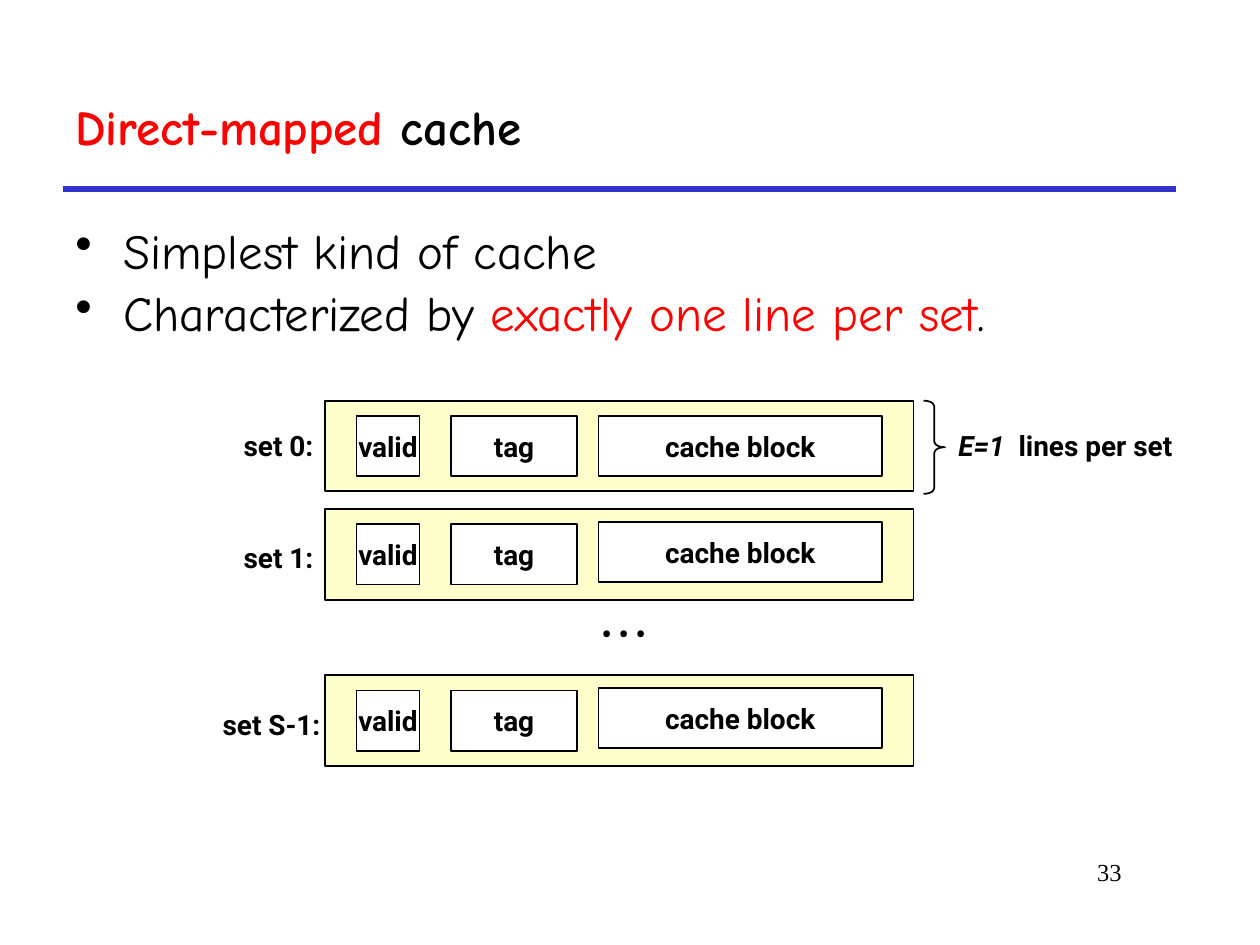
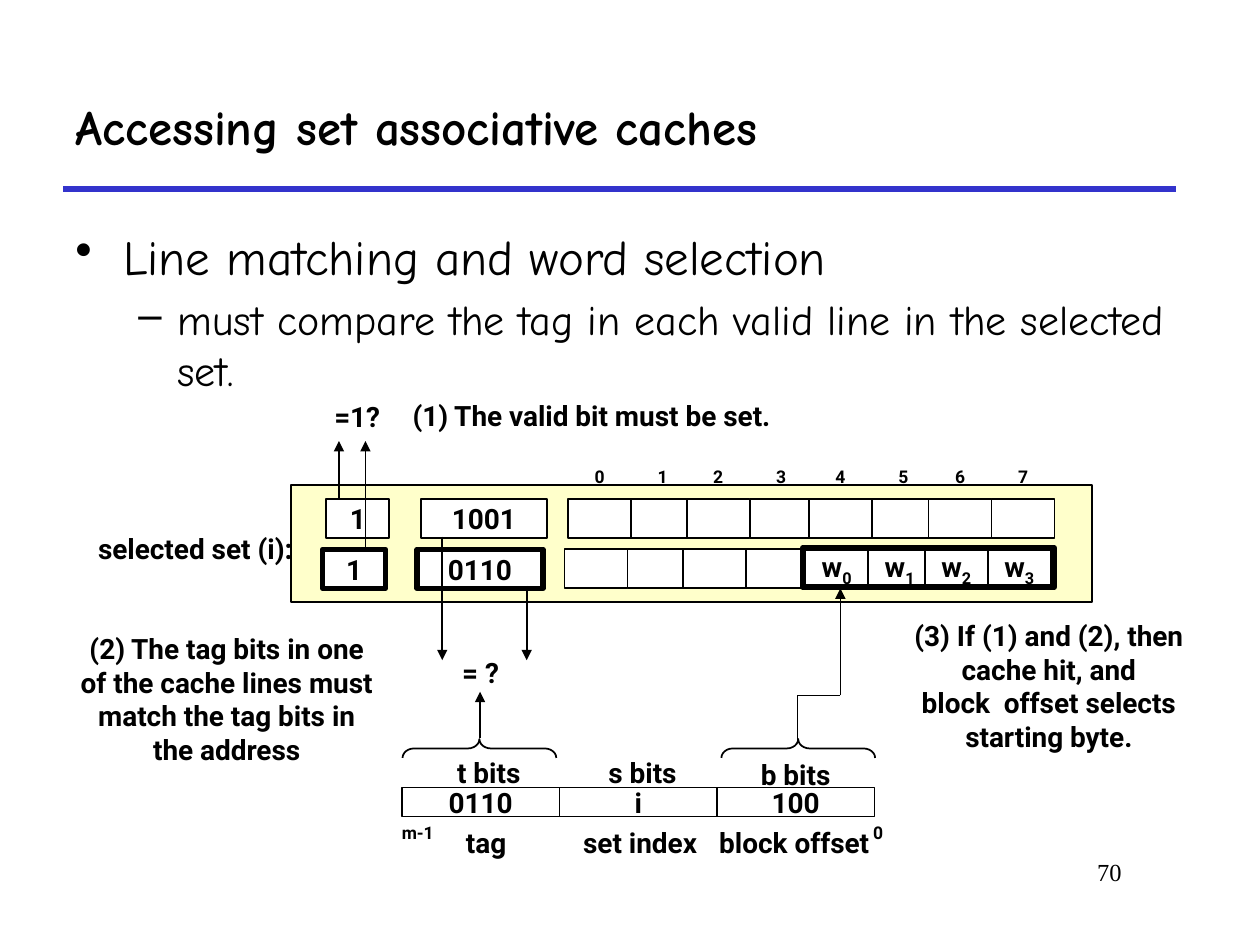
import pptx
import pptx.util
import pptx.dml.color
import pptx.enum.shapes
import pptx.enum.text
import pptx.oxml
import pptx.oxml.ns

Inches, Pt = pptx.util.Inches, pptx.util.Pt
SHAPE = pptx.enum.shapes.MSO_SHAPE
ALIGN = pptx.enum.text.PP_ALIGN
ANCHOR = pptx.enum.text.MSO_ANCHOR

# Shared look
BLACK, WHITE, RED = "000000", "FFFFFF", "FF0000"
RULE_BLUE, SET_YELLOW = "3333CC", "FFFF99"
HEAD_FONT, LABEL_FONT, NUMBER_FONT = "Comic Neue", "Roboto", "Times New Roman"
INDENTS = {"•": (0.38, -0.38), "–": (0.81, -0.31)}

# Slide 1: a text is a list of paragraphs, a paragraph a list of (text, options)
DIRECT_TITLE = [("Direct-mapped", {"color": RED}), (" cache", {})]
DIRECT_BULLETS = [
    ("•", 28, [("Simplest kind of cache", {})]),
    ("•", 28, [("Characterized by ", {}),
               ("exactly one line per set", {"color": RED}), (".", {})]),
]
# label, label left and width, band top, label drop, cache block drop
CACHE_SETS = [
    ("set 0:", 1.82, 0.78, 3.18, 0.17, 0.12),
    ("set 1:", 1.82, 0.78, 4.04, 0.20, 0.10),
    ("set S-1:", 1.65, 1.01, 5.36, 0.20, 0.10),
]
LINES_PER_SET = [("E=1", {"italic": True}), ("  lines per set", {})]

# Slide 2
ACCESS_TITLE = [("Accessing set associative caches", {})]
ACCESS_BULLETS = [
    ("•", 28, [("Line matching and word selection", {})]),
    ("–", 24, [("must compare the tag in each valid line in the selected set.", {})]),
]
# row left shift, top, outline of valid and tag, tag bits, words
CACHE_LINES = [
    (-0.03, 4.36, 3, "0110", ["", "", "", "", "0", "1", "2", "3"]),
    (0, 3.96, 1, "1001", [""] * 8),
]
WORD_LEFTS = (4.51, 5.01, 5.45, 5.95, 6.42, 6.92, 7.37, 7.87)
ADDRESS_FIELDS = ["0110", "i", "100"]
# text, left, top, width
FIELD_LABELS = [
    ("t bits", 3.53, 5.95, 0.73), ("s bits", 4.73, 5.95, 0.78),
    ("b bits", 5.94, 5.96, 0.79), ("tag", 3.60, 6.5, 0.53),
    ("set index", 4.53, 6.5, 1.16), ("block offset", 5.61, 6.5, 1.45),
]
CHECK_LABELS = [
    ("selected set (i):", 0.64, 4.17, 1.82), ("=1?", 2.54, 3.12, 0.59),
    ("= ?", 3.55, 5.15, 0.53), ("(1) The valid bit must be set.", 3.1, 3.11, 3.19),
]
# left, top, width, lines
STEP_NOTES = [
    (6.74, 4.86, 3.17, ["(3) If (1) and (2), then", "cache hit, and",
                        "block  offset selects", "starting byte."]),
    (0, 4.96, 3.6, ["(2) The tag bits in one", "of the cache lines must",
                    "match the tag bits in", "the address"]),
]
# start, end
ARROWS = [
    ((2.69, 3.95), (2.69, 3.5)), ((2.9, 4.35), (2.9, 3.5)),
    ((4.18, 4.65), (4.18, 5.24)), ((3.51, 4.26), (3.51, 5.24)),
    ((3.81, 5.86), (3.81, 5.49)), ((6.67, 5.52), (6.67, 4.67)),
]
OFFSET_PATH = [((6.33, 5.52), (6.67, 5.52)), ((6.33, 5.52), (6.33, 5.89))]


def rgb(color):
    return pptx.dml.color.RGBColor.from_string(color)


def add_child(parent, tag, **attributes):
    child = pptx.oxml.parse_xml(f"<a:{tag} {pptx.oxml.ns.nsdecls('a')}/>")
    for name, value in attributes.items():
        child.set(name, str(value))
    parent.append(child)
    return child


def style(para, spans, size, font, bold):
    para.font.size, para.font.name, para.font.bold = Pt(size), font, bold
    para.font.color.rgb = rgb(BLACK)
    for text, options in spans:
        span = para.add_run()
        span.text = text
        span.font.color.rgb = rgb(options.get("color", BLACK))
        if "italic" in options:
            span.font.italic = options["italic"]
        if "baseline" in options:
            span.font._element.set("baseline", str(options["baseline"]))


def write(box, paragraphs, size=16, font=LABEL_FONT, bold=True,
          align=ALIGN.CENTER, anchor=ANCHOR.MIDDLE, wrap=False):
    frame = box.text_frame
    frame.word_wrap, frame.vertical_anchor = wrap, anchor
    for index, spans in enumerate(paragraphs):
        para = frame.add_paragraph() if index else frame.paragraphs[0]
        para.alignment = align
        style(para, [(spans, {})] if isinstance(spans, str) else spans, size, font, bold)


def add_text(page, place, paragraphs, **look):
    box = page.shapes.add_textbox(*map(Inches, place))
    write(box, paragraphs, **look)


def add_box(page, place, spans="", fill=WHITE, width=1, preset=SHAPE.RECTANGLE):
    box = page.shapes.add_shape(preset, *map(Inches, place))
    box.shadow.inherit = False
    box.line.color.rgb, box.line.width = rgb(BLACK), Pt(width)
    if fill:
        box.fill.solid()
        box.fill.fore_color.rgb = rgb(fill)
    else:
        box.fill.background()
    if spans:
        write(box, [spans])
    return box


def add_set_band(page, place):
    band = add_box(page, place, fill=SET_YELLOW)
    color = band._element.spPr.find(".//" + pptx.oxml.ns.qn("a:srgbClr"))
    add_child(color, "alpha", val=50000)


def add_brace(page, place, curl, rotation=0):
    brace = add_box(page, place, fill=None, preset=SHAPE.RIGHT_BRACE)
    brace.adjustments[0], brace.adjustments[1] = curl, 0.5
    brace.rotation = rotation


def add_line(page, start, end, color=BLACK, width=1, arrow=False):
    line = page.shapes.add_connector(pptx.enum.shapes.MSO_CONNECTOR.STRAIGHT,
                                     *map(Inches, start + end))
    line.line.color.rgb, line.line.width = rgb(color), Pt(width)
    if arrow:
        add_child(line.line._get_or_add_ln(), "tailEnd", type="triangle")
    add_child(line._element.spPr, "effectLst")


def add_bullets(page, bullets, height, line_spacing):
    box = page.shapes.add_textbox(*map(Inches, (0.5, 1.75, 9.08, height)))
    frame = box.text_frame
    frame.word_wrap = True
    for index, (mark, size, spans) in enumerate(bullets):
        para = frame.add_paragraph() if index else frame.paragraphs[0]
        left, hang = INDENTS[mark]
        properties = para._p.get_or_add_pPr()
        properties.set("marL", str(Inches(left)))
        properties.set("indent", str(Inches(hang)))
        add_child(properties, "buChar", char=mark)
        para.line_spacing = line_spacing
        if index:
            para.space_before = Pt(size * 0.2)
        style(para, spans, size, HEAD_FONT, False)


def start_page(deck, title, number):
    page = deck.slides.add_slide(deck.slide_layouts[6])
    add_line(page, (0.5, 1.5), (9.33, 1.5), RULE_BLUE, 3)
    add_text(page, (7.58, 6.75, 1.42, 0.5), [number], size=14, font=NUMBER_FONT,
             bold=False, align=ALIGN.RIGHT, anchor=ANCHOR.TOP, wrap=True)
    add_text(page, (0.5, 0.5, 8.83, 1), [title], size=28, font=HEAD_FONT,
             align=ALIGN.LEFT, wrap=True)
    return page


def build_direct_mapped(deck):
    page = start_page(deck, DIRECT_TITLE, "33")
    add_bullets(page, DIRECT_BULLETS, 1.08, 0.9)
    for label, left, width, top, label_drop, block_drop in CACHE_SETS:
        add_set_band(page, (2.58, top, 4.67, 0.72))
        add_box(page, (2.83, top + 0.12, 0.5, 0.48), "valid")
        add_box(page, (3.58, top + 0.12, 1, 0.48), "tag")
        add_box(page, (4.75, top + block_drop, 2.25, 0.48), "cache block")
        add_text(page, (left, top + label_drop, width, 0.37), [label])
    add_text(page, (4.67, 4.84, 0.56, 0.37), ["• • •"])
    add_brace(page, (7.33, 3.18, 0.17, 0.74), 0.258)
    add_text(page, (7.44, 3.35, 2.03, 0.37), [LINES_PER_SET])


def build_set_associative(deck):
    page = start_page(deck, ACCESS_TITLE, "70")
    add_bullets(page, ACCESS_BULLETS, 1.5, 1.0)

    # Selected set with its two lines
    add_set_band(page, (2.31, 3.85, 6.36, 0.93))
    for shift, top, outline, tag, words in CACHE_LINES:
        add_box(page, (2.59 + shift, top, 0.5, 0.31), "1", width=outline)
        add_box(page, (3.34 + shift, top, 1, 0.31), tag, width=outline)
        for left, word in zip(WORD_LEFTS, words):
            spans = [("w", {}), (word, {"baseline": -25000})] if word else ""
            add_box(page, (left + shift, top, 0.5, 0.31), spans)
    add_box(page, (6.37, 4.35, 2, 0.31), fill=None, width=3)
    for index, left in enumerate(WORD_LEFTS):
        add_text(page, (left, 3.63, 0.5, 0.31), [str(index)], size=10)

    # Address fields
    for index, bits in enumerate(ADDRESS_FIELDS):
        add_box(page, (3.19 + 1.25 * index, 6.25, 1.25, 0.23), bits, fill=None)
    for text, left, top, width in FIELD_LABELS:
        add_text(page, (left, top, width, 0.36), [text],
                 align=ALIGN.LEFT, anchor=ANCHOR.TOP)
    add_text(page, (6.83, 6.47, 0.28, 0.27), ["0"], size=10)
    add_text(page, (3.09, 6.47, 0.45, 0.27), ["m-1"], size=10, wrap=True)

    # Checks, their notes and arrows
    for text, left, top, width in CHECK_LABELS:
        add_text(page, (left, top, width, 0.37), [text])
    for left, top, width, lines in STEP_NOTES:
        add_text(page, (left, top, width, 1.17), lines, wrap=True)
    for left in (3.73, 6.26):
        add_brace(page, (left, 5.33, 0.15, 1.22), 0.608, 270)
    for start, end in OFFSET_PATH:
        add_line(page, start, end)
    for start, end in ARROWS:
        add_line(page, start, end, arrow=True)


def main():
    deck = pptx.Presentation()
    deck.slide_width, deck.slide_height = Inches(10), Inches(7.5)
    build_direct_mapped(deck)
    build_set_associative(deck)
    deck.save("out.pptx")


if __name__ == "__main__":
    main()
